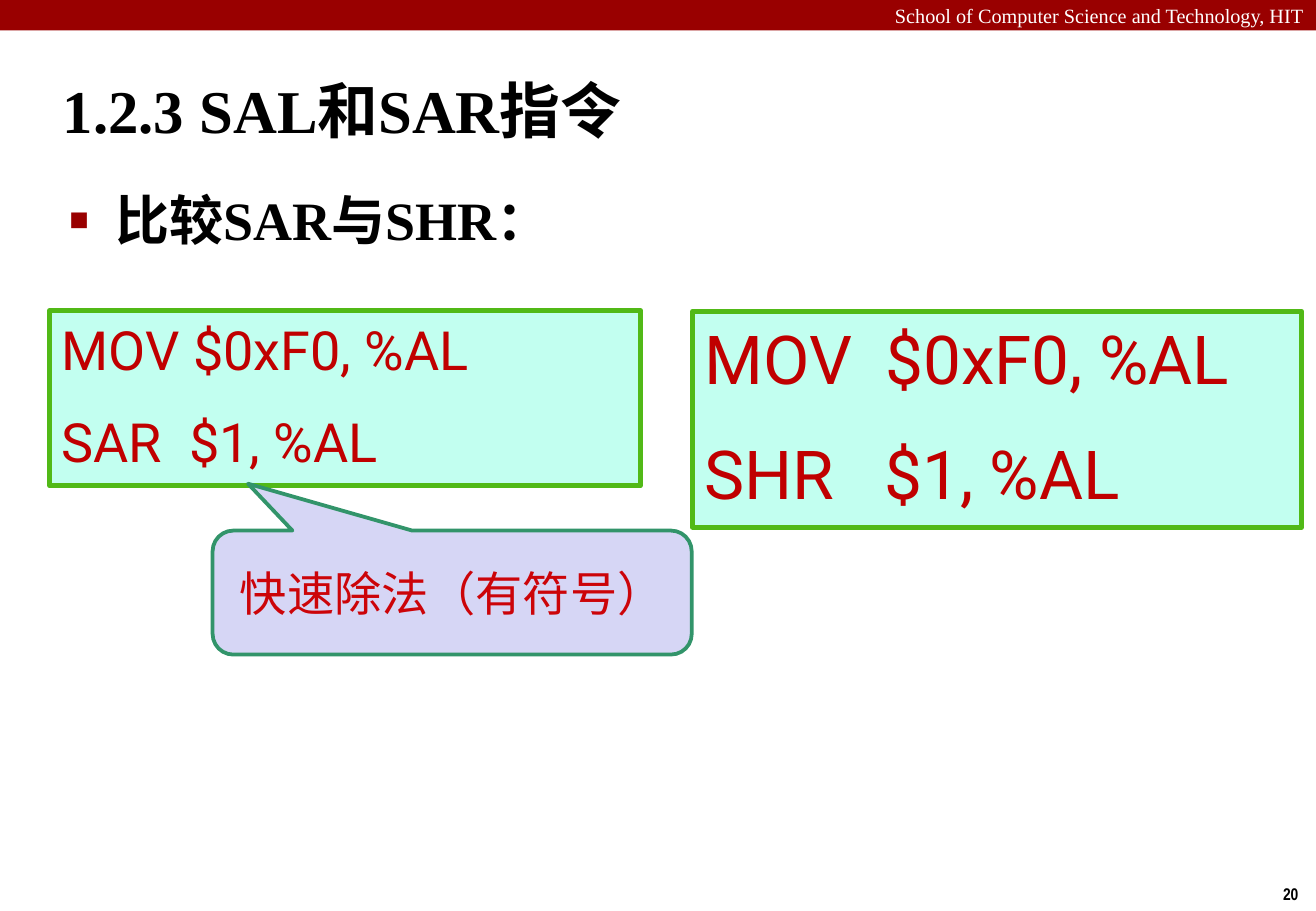
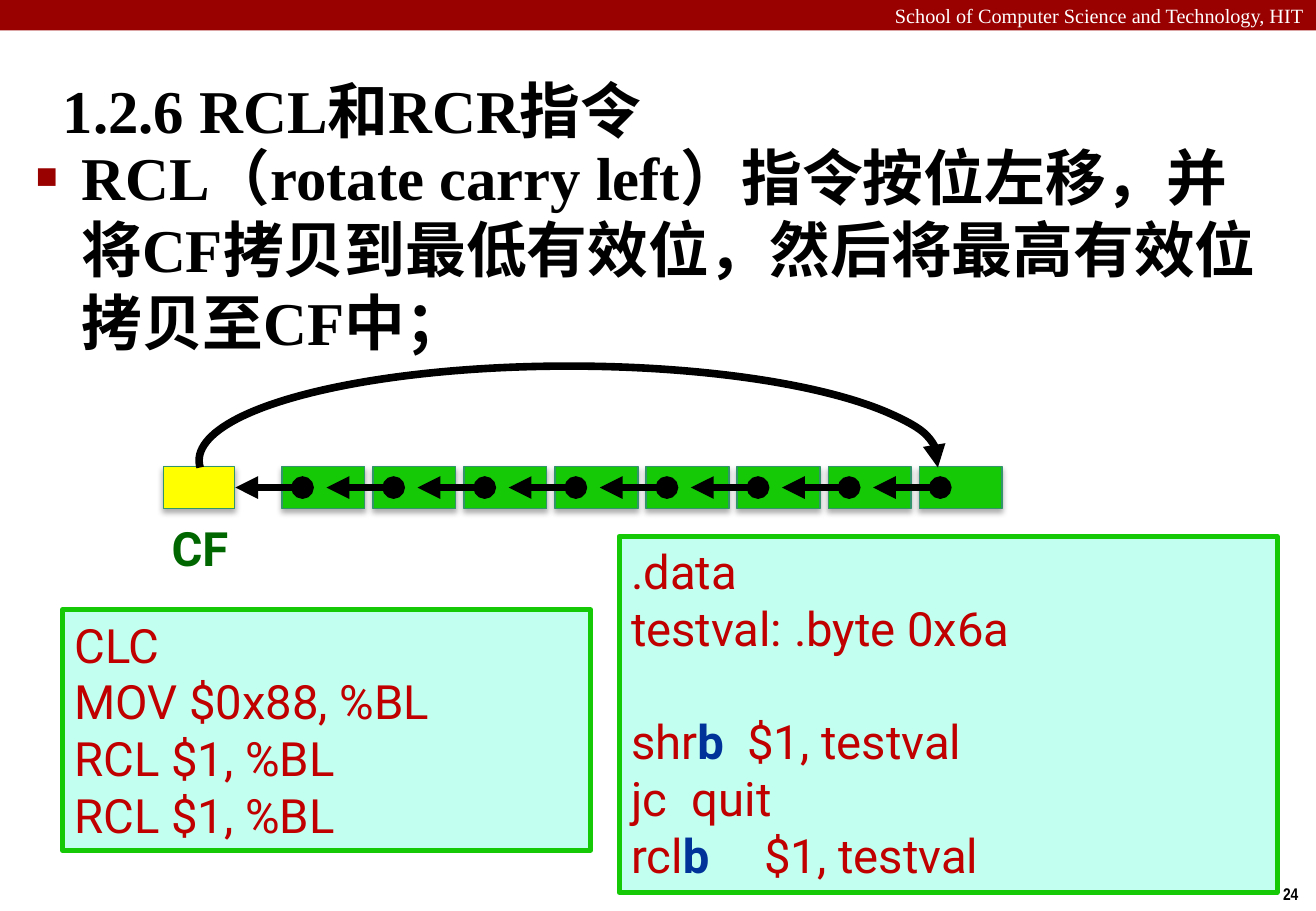
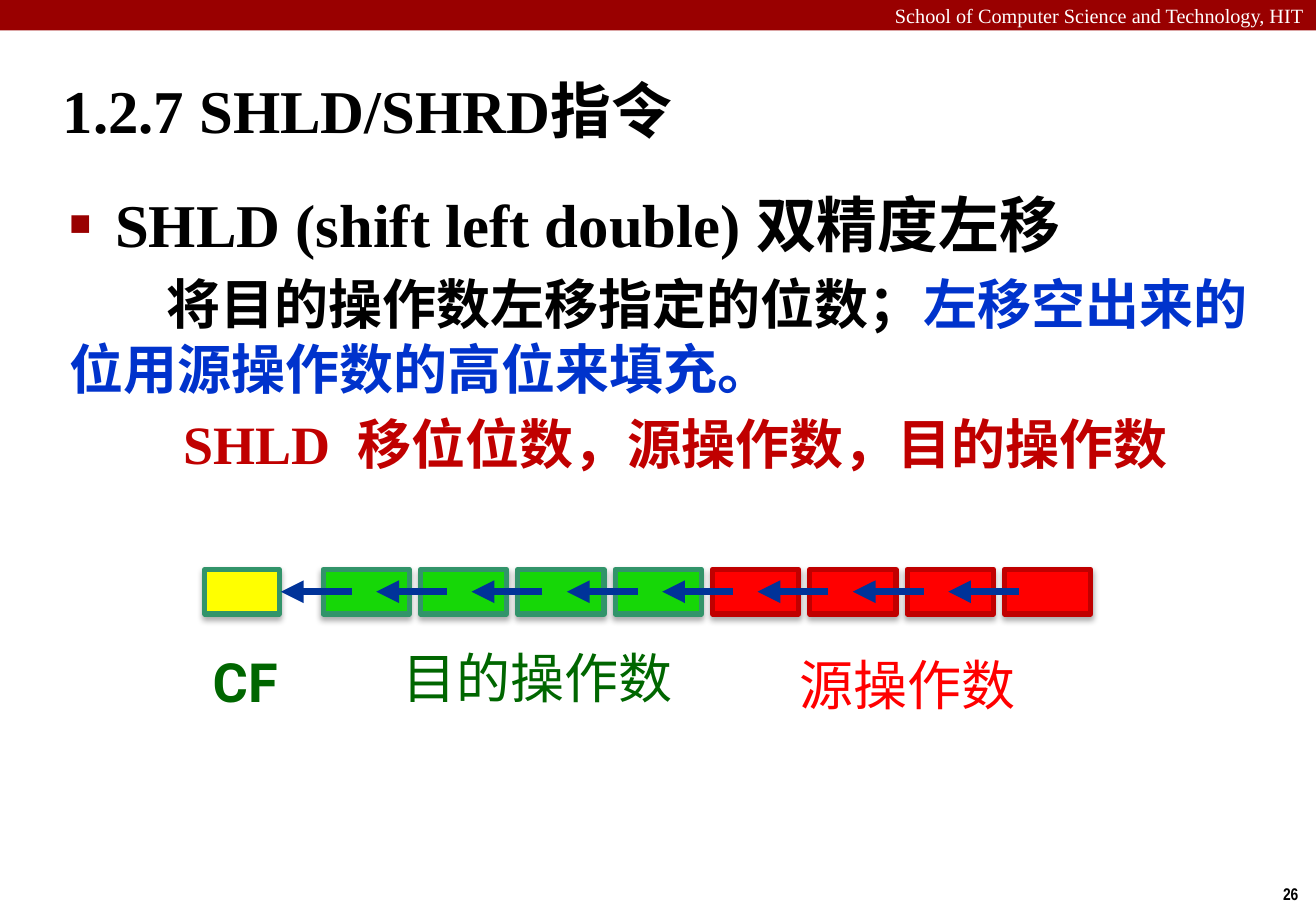
from lxml.etree import SubElement
from pptx import Presentation
from pptx.dml.color import RGBColor
from pptx.enum.shapes import MSO_CONNECTOR, MSO_SHAPE
from pptx.enum.text import MSO_ANCHOR, MSO_AUTO_SIZE, PP_ALIGN
from pptx.oxml.ns import qn
from pptx.util import Pt

WIDTH, HEIGHT = 780, 540
SERIF, SANS, NARROW = "Times New Roman", "Roboto", "Arial Narrow"
COLORS = {
    "crimson": "990000", "white": "FFFFFF", "black": "000000",
    "mint": "C2FFF0", "code": "C00000", "suffix": "003399",
    "olive": "51B917", "green": "15C907", "bright": "16D707",
    "teal": "32946A", "yellow": "FFFF00", "red": "FF0000",
    "lavender": "D6D6F5", "callout": "CC0409", "label": "006600",
    "blue": "0033CC",
}


def color(name):
    return RGBColor.from_string(COLORS[name])


# ---------- text and shape helpers ----------

def write(paragraph, text, size, color_name, name=SANS, bold=False,
          align=PP_ALIGN.LEFT, before=0):
    """Fill a paragraph from a string or a list of (text, colour, bold) runs."""
    paragraph.alignment = align
    paragraph.space_before = Pt(before)
    font = paragraph.font
    font.name, font.size, font.bold = name, Pt(size), bold
    font.color.rgb = color(color_name)
    if isinstance(text, str):
        paragraph.add_run().text = text
        return
    for run_text, run_color, run_bold in text:
        run = paragraph.add_run()
        run.text = run_text
        run.font.color.rgb = color(run_color)
        run.font.bold = run_bold


def add_box(slide, kind, box, fill, line=None, line_width=1):
    shape = slide.shapes.add_shape(kind, *map(Pt, box))
    shape.shadow.inherit = False
    if fill:
        shape.fill.solid()
        shape.fill.fore_color.rgb = color(fill)
    else:
        shape.fill.background()
    if line:
        shape.line.color.rgb = color(line)
        shape.line.width = Pt(line_width)
    else:
        shape.line.fill.background()
    return shape


def add_label(slide, box, text, size, color_name, **style):
    frame = slide.shapes.add_textbox(*map(Pt, box)).text_frame
    frame.word_wrap = True
    write(frame.paragraphs[0], text, size, color_name, **style)


def add_line_ends(shape, head=None, tail=None):
    line = shape.line._get_or_add_ln()
    for tag, kind in (("a:headEnd", head), ("a:tailEnd", tail)):
        if kind:
            SubElement(line, qn(tag), type=kind)


def add_soft_shadow(shape):
    effects = shape.element.spPr.find(qn("a:effectLst"))
    shadow = SubElement(effects, qn("a:outerShdw"), blurRad=str(Pt(3.5)),
                        dist=str(Pt(2.2)), dir="5400000", rotWithShape="0")
    tint = SubElement(shadow, qn("a:srgbClr"), val=COLORS["black"])
    SubElement(tint, qn("a:alpha"), val="32000")


def set_indent(paragraph, left, first, bullet=False):
    properties = paragraph._p.get_or_add_pPr()
    properties.set("marL", str(Pt(left)))
    properties.set("indent", str(Pt(first)))
    if bullet:
        tint = SubElement(properties, qn("a:buClr"))
        SubElement(tint, qn("a:srgbClr"), val=COLORS["crimson"])
        SubElement(properties, qn("a:buSzPct"), val="60000")
        SubElement(properties, qn("a:buChar"), char="■")
    else:
        SubElement(properties, qn("a:buNone"))


# ---------- parts shared by all slides ----------

def add_band_to_layout(slide):
    """Draw the top band and move it to the layout, behind everything."""
    band = add_box(slide, MSO_SHAPE.RECTANGLE, (0, 0, WIDTH, 18), "crimson")
    frame = band.text_frame
    frame.margin_top = frame.margin_bottom = 0
    frame.vertical_anchor = MSO_ANCHOR.MIDDLE
    write(frame.paragraphs[0], "School of Computer Science and Technology, HIT",
          12, "white", SERIF, align=PP_ALIGN.RIGHT)
    slide.slide_layout.shapes.element.insert(2, band.element)


def place(placeholder, box, anchor):
    placeholder.left, placeholder.top, placeholder.width, placeholder.height = map(Pt, box)
    frame = placeholder.text_frame
    frame.word_wrap = True
    frame.auto_size = MSO_AUTO_SIZE.NONE
    frame.vertical_anchor = anchor
    return frame


def add_page(presentation, title, number, body_box):
    """Add a slide with title and page number; return it and its body frame."""
    slide = presentation.slides.add_slide(presentation.slide_layouts[1])
    frame = place(slide.shapes.title, (30, 34.5, 750, 60), MSO_ANCHOR.MIDDLE)
    write(frame.paragraphs[0], title, 36, "black", SERIF, True)
    add_label(slide, (747, 520, 36, 19.5), number, 10, "black",
              name=NARROW, bold=True, align=PP_ALIGN.CENTER)
    return slide, place(slide.placeholders[1], body_box, MSO_ANCHOR.TOP)


def write_bullet(frame, text, size):
    paragraph = frame.paragraphs[0]
    set_indent(paragraph, 27, -27, bullet=True)
    write(paragraph, text, size, "black", SERIF, True)


# ---------- regions ----------

def add_code(slide, box, lines, size, border, before=0):
    """Code panel; an empty line becomes extra space before the next one."""
    panel = add_box(slide, MSO_SHAPE.RECTANGLE, box, "mint", border, 3)
    frame = panel.text_frame
    frame.word_wrap = True
    frame.vertical_anchor = MSO_ANCHOR.TOP
    gap, paragraph = 0, frame.paragraphs[0]
    for index, line in enumerate(lines):
        if not line:
            gap += size * 1.2
            continue
        if index:
            paragraph = frame.add_paragraph()
            gap += before
        write(paragraph, line, size, "code", before=gap)
        gap = 0


def add_callout(slide, box, text):
    callout = add_box(slide, MSO_SHAPE.ROUNDED_RECTANGULAR_CALLOUT, box,
                      "lavender", "teal", 2.25)
    for index, value in enumerate((-0.426, -0.878, 0.167)):
        callout.adjustments[index] = value
    callout.text_frame.vertical_anchor = MSO_ANCHOR.MIDDLE
    write(callout.text_frame.paragraphs[0], text, 28, "callout",
          align=PP_ALIGN.CENTER)


def add_register(slide, box, cells, first_cell, pitch, carry_width, line_width,
                 arrow, arrow_pitch, arrow_color, head=None):
    """Carry cell, a row of (fill, line) bit cells and arrows to the left.

    first_cell and arrow (start, end) are offsets from the left of the box.
    """
    left, top, width, height = box
    spans = [(left, carry_width, "yellow", "teal")]
    cell_width = width - first_cell - pitch * (len(cells) - 1)
    spans += [(left + first_cell + pitch * index, cell_width, fill, line)
              for index, (fill, line) in enumerate(cells)]
    for x, cell_span, fill, line in spans:
        cell = add_box(slide, MSO_SHAPE.RECTANGLE, (x, top, cell_span, height),
                       fill, line, line_width)
        add_soft_shadow(cell)
    middle = top + height / 2
    for index in range(len(cells)):
        start, end = (left + offset + arrow_pitch * index for offset in arrow)
        connector = slide.shapes.add_connector(
            MSO_CONNECTOR.STRAIGHT, Pt(start), Pt(middle), Pt(end), Pt(middle))
        connector.line.color.rgb = color(arrow_color)
        connector.line.width = Pt(4.5)
        add_line_ends(connector, head, "triangle")
        SubElement(connector.element.spPr, qn("a:effectLst"))


def add_carry_arc(slide, box):
    arc = add_box(slide, MSO_SHAPE.ARC, box, None, "black", 4.5)
    arc.adjustments[0], arc.adjustments[1] = 107.35, 0.65
    add_line_ends(arc, tail="triangle")


# ---------- slides ----------

def build_sar(presentation):
    slide, body = add_page(presentation, "1.2.3 SAL和SAR指令", "20",
                           (34, 107, 733, 415))
    add_band_to_layout(slide)
    write_bullet(body, "比较SAR与SHR：", 32)
    add_code(slide, (29.5, 184, 350, 104),
             ["MOV $0xF0, %AL", "SAR  $1, %AL"], 32, "olive", before=16)
    add_code(slide, (410.5, 184.5, 361, 128),
             ["MOV  $0xF0, %AL", "SHR   $1, %AL"], 40, "olive", before=20)
    add_callout(slide, (126, 314.5, 284, 73.5), "快速除法（有符号）")


def build_rcl(presentation):
    slide, body = add_page(presentation, "1.2.6 RCL和RCR指令", "24",
                           (14, 79, 744, 187))
    write_bullet(body, "RCL（rotate carry left）指令按位左移，并将CF拷贝到"
                       "最低有效位，然后将最高有效位拷贝至CF中；", 36)
    add_code(slide, (37, 361.5, 313, 142.5),
             ["CLC", "MOV $0x88, %BL", "RCL $1, %BL", "RCL $1, %BL"],
             28, "green")
    suffix = ("b", "suffix", True)
    add_code(slide, (367, 318, 390, 211),
             [".data", "testval: .byte 0x6a", "",
              [("shr", "code", False), suffix, ("  $1, testval", "code", False)],
              "jc\tquit",
              [("rcl", "code", False), suffix, ("\t $1, testval", "code", False)]],
             28, "green")
    add_register(slide, (97, 276.5, 497, 25), [("green", "teal")] * 8,
                 first_cell=70, pitch=54, carry_width=42, line_width=1,
                 arrow=(82.3, 42.5), arrow_pitch=54, arrow_color="black",
                 head="oval")
    add_label(slide, (88.5, 304, 60, 31), "CF", 28, "label", bold=True,
              align=PP_ALIGN.CENTER)
    add_carry_arc(slide, (118, 217, 438.5, 112))


def build_shld(presentation):
    slide, body = add_page(presentation, "1.2.7 SHLD/SHRD指令", "26",
                           (34, 107, 733, 415))
    write_bullet(body, "SHLD (shift left double) 双精度左移", 36)
    meaning = body.add_paragraph()
    set_indent(meaning, 0, 57.5)
    write(meaning, [("将目的操作数左移指定的位数；", "black", True),
                    ("左移空出来的位用源操作数的高位来填充。", "blue", True)],
          32, "black", SERIF, True, before=6.4)
    syntax = body.add_paragraph()
    set_indent(syntax, 0, 0)
    write(syntax, "SHLD  移位位数，源操作数，目的操作数", 32, "code", SERIF,
          True, PP_ALIGN.CENTER, 6.4)
    add_register(slide, (121.5, 337.5, 525, 26.5),
                 [("bright", "teal")] * 4 + [("red", "code")] * 4,
                 first_cell=70, pitch=57.7, carry_width=44, line_width=3,
                 arrow=(87, 45), arrow_pitch=56.5, arrow_color="suffix")
    add_label(slide, (119, 381, 124.5, 44), "CF", 32, "label", bold=True)
    add_label(slide, (187, 378.5, 263.5, 46), "目的操作数", 32, "label",
              align=PP_ALIGN.CENTER)
    add_label(slide, (406, 382.5, 263.5, 46), "源操作数", 32, "red",
              align=PP_ALIGN.CENTER)


def main():
    presentation = Presentation()
    presentation.slide_width, presentation.slide_height = Pt(WIDTH), Pt(HEIGHT)
    for build in (build_sar, build_rcl, build_shld):
        build(presentation)
    presentation.save("out.pptx")


if __name__ == "__main__":
    main()
